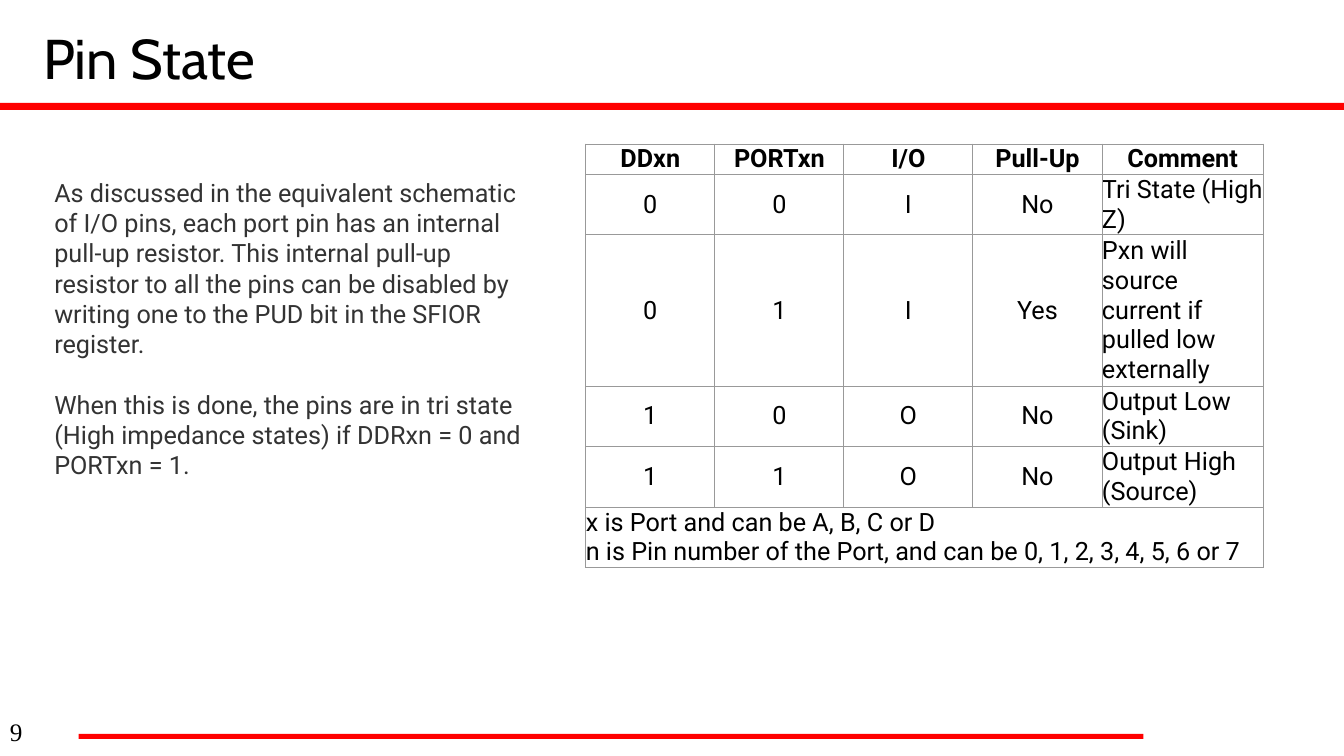
from dataclasses import dataclass

from lxml import etree
from pptx import Presentation
from pptx.dml.color import RGBColor
from pptx.enum import shapes, text
from pptx.oxml import ns
from pptx.util import Inches, Pt


@dataclass(frozen=True)
class Theme:
    accent: str = "FF0000"
    ink: str = "000000"
    body: str = "333333"
    paper: str = "FFFFFF"
    grid: str = "999999"
    title_size: int = 40
    text_size: int = 18
    line_pitch: float = 21.6
    grid_width: float = 0.75


theme = Theme()


def write(frame, content, font, size, color, bold=False, align=text.PP_ALIGN.LEFT):
    frame.word_wrap = True
    frame.text = content
    for paragraph in frame.paragraphs:
        paragraph.alignment = align
        for run in paragraph.runs:
            run.font.name = font
            run.font.size = Pt(size)
            run.font.bold = bold
            run.font.color.rgb = RGBColor.from_string(color)


def add_borders(cell):
    properties = cell._tc.get_or_add_tcPr()
    for side in ("a:lnL", "a:lnR", "a:lnT", "a:lnB"):
        line = etree.SubElement(properties, ns.qn(side), w=str(Pt(theme.grid_width)))
        fill = etree.SubElement(line, ns.qn("a:solidFill"))
        etree.SubElement(fill, ns.qn("a:srgbClr"), val=theme.grid)


deck = Presentation()
deck.slide_width = Inches(13.33)
deck.slide_height = Inches(7.5)
slide = deck.slides.add_slide(deck.slide_layouts[6])

for left, top, width, height in ((0, 1.02, 13.33, 0.07), (0.78, 7.28, 10.56, 0.05)):
    rule = slide.shapes.add_shape(
        shapes.MSO_SHAPE.RECTANGLE, Inches(left), Inches(top), Inches(width), Inches(height)
    )
    rule.shadow.inherit = False
    rule.fill.solid()
    rule.fill.fore_color.rgb = RGBColor.from_string(theme.accent)
    rule.line.fill.background()

title = slide.shapes.add_textbox(Inches(0.33), Inches(-0.25), Inches(13), Inches(1.25)).text_frame
title.vertical_anchor = text.MSO_ANCHOR.BOTTOM
title.margin_bottom = Inches(0.1)
write(title, "Pin State", "Cabin", theme.title_size, theme.ink)

page_number = slide.shapes.add_textbox(Inches(0), Inches(7.06), Inches(0.89), Inches(0.52)).text_frame
write(page_number, "9", "Times New Roman", theme.text_size, theme.ink)

pin_states = [
    ("DDxn", "PORTxn", "I/O", "Pull-Up", "Comment"),
    ("0", "0", "I", "No", "Tri State (High Z)"),
    ("0", "1", "I", "Yes", "Pxn will source current if pulled low externally"),
    ("1", "0", "O", "No", "Output Low (Sink)"),
    ("1", "1", "O", "No", "Output High (Source)"),
    (
        "x is Port and can be A, B, C or D\n"
        "n is Pin number of the Port, and can be 0, 1, 2, 3, 4, 5, 6 or 7",
        "", "", "", "",
    ),
]
column_widths = (1.28, 1.28, 1.28, 1.28, 1.6)
row_heights = (0.29, 0.59, 1.47, 0.59, 0.59, 0.59)
legend_row = len(pin_states) - 1
comment_column = len(column_widths) - 1

pin_table = slide.shapes.add_table(
    len(pin_states), len(column_widths),
    Inches(5.81), Inches(1.43), Inches(sum(column_widths)), Inches(sum(row_heights)),
).table
for column, width in zip(pin_table.columns, column_widths):
    column.width = Inches(width)
for row, height in zip(pin_table.rows, row_heights):
    row.height = Inches(height)
pin_table.cell(legend_row, 0).merge(pin_table.cell(legend_row, comment_column))

for r, state in enumerate(pin_states):
    for c, content in enumerate(state):
        cell = pin_table.cell(r, c)
        cell.margin_left = cell.margin_right = cell.margin_top = cell.margin_bottom = 0
        cell.vertical_anchor = text.MSO_ANCHOR.MIDDLE
        add_borders(cell)
        cell.fill.solid()
        cell.fill.fore_color.rgb = RGBColor.from_string(theme.paper)
        if cell.is_spanned:
            continue
        centered = r == 0 or (r < legend_row and c < comment_column)
        align = text.PP_ALIGN.CENTER if centered else text.PP_ALIGN.LEFT
        write(cell.text_frame, content, "Roboto", theme.text_size, theme.ink, r == 0, align)

explanation = slide.shapes.add_textbox(Inches(0.44), Inches(1.71), Inches(4.92), Inches(3.13)).text_frame
write(
    explanation,
    "As discussed in the equivalent schematic of I/O pins, each port pin has an internal "
    "pull-up resistor. This internal pull-up\n"
    "resistor to all the pins can be disabled by writing one to the PUD bit in the SFIOR register.\n"
    "When this is done, the pins are in tri state (High impedance states) if DDRxn = 0 and PORTxn = 1.",
    "Roboto", theme.text_size, theme.body,
)
for paragraph in explanation.paragraphs:
    paragraph.line_spacing = Pt(theme.line_pitch)
explanation.paragraphs[-1].space_before = Pt(theme.line_pitch)

deck.save("out.pptx")
